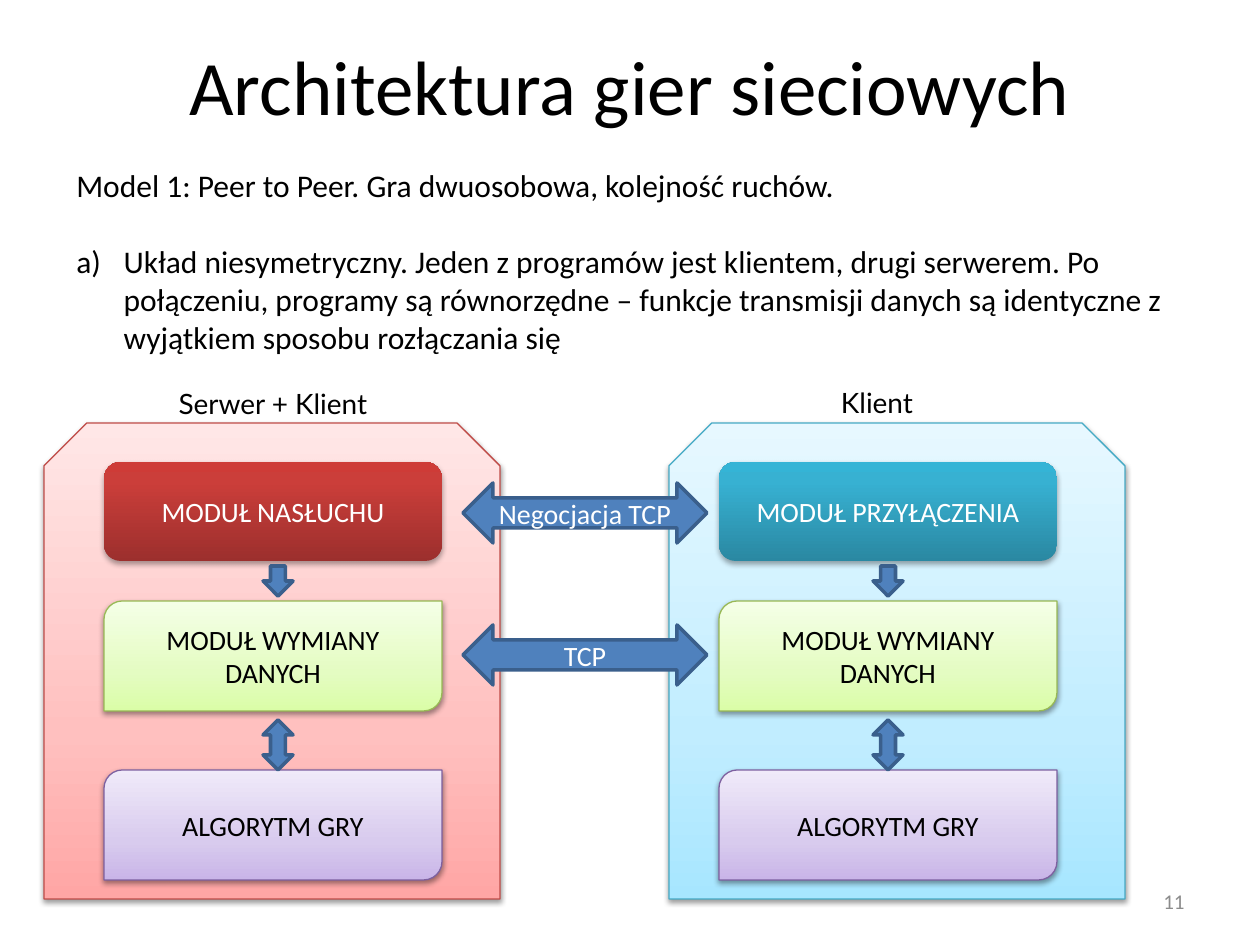
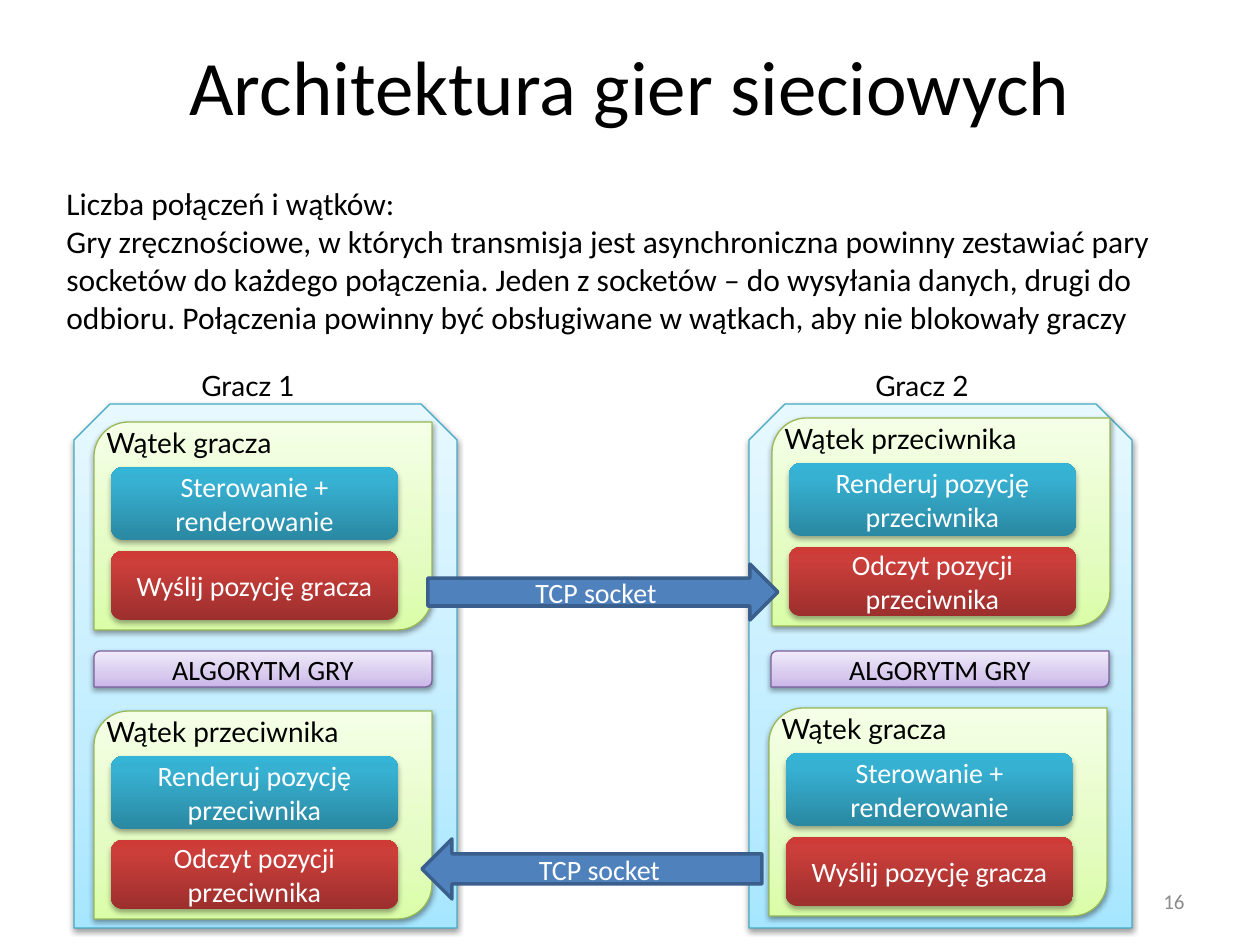
from pptx import Presentation
from pptx.dml.color import RGBColor
from pptx.enum.shapes import MSO_SHAPE
from pptx.enum.text import MSO_ANCHOR, PP_ALIGN
from pptx.oxml import parse_xml
from pptx.oxml.ns import qn
from pptx.util import Pt
from lxml import etree

PX = 914400 / 126
NAMESPACE = "http://schemas.openxmlformats.org/drawingml/2006/main"

SNIPPED = MSO_SHAPE.SNIP_2_SAME_RECTANGLE
ROUNDED = MSO_SHAPE.ROUNDED_RECTANGLE
LEAF = MSO_SHAPE.ROUND_2_DIAG_RECTANGLE
DOWN = MSO_SHAPE.DOWN_ARROW
UP_DOWN = MSO_SHAPE.UP_DOWN_ARROW
LEFT = MSO_SHAPE.LEFT_ARROW
RIGHT = MSO_SHAPE.RIGHT_ARROW
LEFT_RIGHT = MSO_SHAPE.LEFT_RIGHT_ARROW
MIDDLE = MSO_ANCHOR.MIDDLE
TOP = MSO_ANCHOR.TOP
ALIGN_LEFT = PP_ALIGN.LEFT
ALIGN_CENTER = PP_ALIGN.CENTER
ALIGN_RIGHT = PP_ALIGN.RIGHT

BLACK = RGBColor(0x00, 0x00, 0x00)
WHITE = RGBColor(0xFF, 0xFF, 0xFF)
GREY = RGBColor(0x8C, 0x8C, 0x8C)
ARROW_FILL = RGBColor(0x4F, 0x81, 0xBD)
ARROW_LINE = RGBColor(0x3A, 0x5F, 0x8C)
RED_LINE = RGBColor(0xBF, 0x4C, 0x48)
CYAN_LINE = RGBColor(0x46, 0xAA, 0xC5)
GREEN_LINE = RGBColor(0x98, 0xB9, 0x55)
PURPLE_LINE = RGBColor(0x7D, 0x60, 0xA0)

# Gradients run from the bottom up; the number is the middle stop in percent
PALE_RED = ("FFA6A5", "FFC0BF", "FFE7E7", 35)
PALE_CYAN = ("A7E6FF", "C1EDFF", "E7F8FF", 35)
GREEN = ("DAFDA7", "E4FCC2", "F5FFE7", 35)
PURPLE = ("C9B5E8", "D8CBEE", "F0EAF9", 35)
RED = ("9C2F2D", "CB3E3A", "CE3B37", 80)
CYAN = ("2A88A2", "37B1D2", "34B4D6", 80)

# Each style: outline shape, gradient (None for an arrow), line colour
RED_PANEL = (SNIPPED, PALE_RED, RED_LINE)
CYAN_PANEL = (SNIPPED, PALE_CYAN, CYAN_LINE)
GREEN_LEAF = (LEAF, GREEN, GREEN_LINE)
PURPLE_LEAF = (LEAF, PURPLE, PURPLE_LINE)
RED_BUTTON = (ROUNDED, RED, None)
CYAN_BUTTON = (ROUNDED, CYAN, None)

TITLE = "Architektura gier sieciowych"


def write(shape, text, size=16, font="Calibri", color=BLACK, align=ALIGN_LEFT, anchor=TOP):
    frame = shape.text_frame
    frame.word_wrap = True
    frame.vertical_anchor = anchor
    frame.text = text
    for para in frame.paragraphs:
        para.alignment = align
        for span in para.runs:
            span.font.size = Pt(size)
            span.font.name = font
            span.font.color.rgb = color
    return frame


def add_box(page, style, left, top, width, height, text=""):
    kind, gradient, line_color = style
    box = page.shapes.add_shape(kind, *[round(n * PX) for n in (left, top, width, height)])
    if kind == SNIPPED:
        box.adjustments[0] = 0.094
    if gradient:
        start, middle, end, position = gradient
        stops = "".join(
            f'<a:gs pos="{percent * 1000}"><a:srgbClr val="{color}"/></a:gs>'
            for percent, color in ((0, start), (position, middle), (100, end)))
        box._element.spPr.find(qn("a:prstGeom")).addnext(parse_xml(
            f'<a:gradFill xmlns:a="{NAMESPACE}" rotWithShape="1"><a:gsLst>{stops}</a:gsLst>'
            '<a:lin ang="16200000" scaled="0"/></a:gradFill>'))
    else:
        box.fill.solid()
        box.fill.fore_color.rgb = ARROW_FILL
    if line_color:
        box.line.color.rgb = line_color
        box.line.width = Pt(0.75 if gradient else 2)
    else:
        box.line.fill.background()
    box.shadow.inherit = False
    if gradient:
        alpha, distance = (38000, 20000) if line_color else (35000, 23000)
        box._element.spPr.find(qn("a:effectLst")).append(parse_xml(
            f'<a:outerShdw xmlns:a="{NAMESPACE}" blurRad="40000" dist="{distance}" '
            f'dir="5400000" rotWithShape="0"><a:srgbClr val="000000">'
            f'<a:alpha val="{alpha}"/></a:srgbClr></a:outerShdw>'))
    if text:
        dark_text = gradient and line_color
        write(box, text, color=BLACK if dark_text else WHITE, align=ALIGN_CENTER, anchor=MIDDLE)
    return box


deck = Presentation()
deck.slide_width = round(1260 * PX)
deck.slide_height = round(945 * PX)

# Title, slide number and body text of both slides
slides = [
    ("11", (64, 160, 1133, 204),
     "Model 1: Peer to Peer. Gra dwuosobowa, kolejność ruchów.\n"
     "Układ niesymetryczny. Jeden z programów jest klientem, drugi serwerem. Po połączeniu, "
     "programy są równorzędne – funkcje transmisji danych są identyczne z wyjątkiem sposobu "
     "rozłączania się"),
    ("16", (54, 178, 1143, 165),
     "Liczba połączeń i wątków:\n"
     "Gry zręcznościowe, w których transmisja jest asynchroniczna powinny zestawiać pary "
     "socketów do każdego połączenia. Jeden z socketów – do wysyłania danych, drugi do odbioru. "
     "Połączenia powinny być obsługiwane w wątkach, aby nie blokowały graczy"),
]
pages = []
bodies = []
for number, body_area, body_text in slides:
    page = deck.slides.add_slide(deck.slide_layouts[5])
    title = page.shapes.title
    title.left, title.top, title.width, title.height = [round(n * PX) for n in (63, 6, 1134, 158)]
    write(title, TITLE, 44, align=ALIGN_CENTER, anchor=MIDDLE)
    number_box = page.shapes.add_textbox(*[round(n * PX) for n in (903, 876, 294, 50)])
    write(number_box, number, 12, color=GREY, align=ALIGN_RIGHT, anchor=MIDDLE)
    body = page.shapes.add_textbox(*[round(n * PX) for n in body_area])
    bodies.append(write(body, body_text, 18))
    pages.append(page)
model_page, threads_page = pages

# Lettered item on the first slide
intro, item = bodies[0].paragraphs
intro.space_after = Pt(22)
item_properties = item._p.get_or_add_pPr()
item_properties.set("marL", "342900")
item_properties.set("indent", "-342900")
etree.SubElement(item_properties, qn("a:buAutoNum"), type="alphaLcParenR")

# Server and client stacks
stacks = [
    (44, RED_PANEL, "Serwer + Klient", 154, 380, 104, RED_BUTTON, "MODUŁ NASŁUCHU", 263),
    (669, CYAN_PANEL, "Klient", 758, 379, 719, CYAN_BUTTON, "MODUŁ PRZYŁĄCZENIA", 873),
]
for panel_left, panel, name, name_left, name_top, left, button, module, arrow_left in stacks:
    add_box(model_page, panel, panel_left, 423, 456, 476)
    label = model_page.shapes.add_textbox(*[round(n * PX) for n in (name_left, name_top, 238, 43)])
    write(label, name, font="Lato", align=ALIGN_CENTER)
    add_box(model_page, button, left, 462, 338, 99, module)
    add_box(model_page, GREEN_LEAF, left, 601, 338, 110, "MODUŁ WYMIANY DANYCH")
    add_box(model_page, PURPLE_LEAF, left, 770, 338, 110, "ALGORYTM GRY")
    add_box(model_page, (DOWN, None, ARROW_LINE), arrow_left, 566, 30, 30)
    add_box(model_page, (UP_DOWN, None, ARROW_LINE), arrow_left, 720, 30, 50)

# Links between server and client
for top, text in ((625, "TCP"), (483, "Negocjacja TCP")):
    add_box(model_page, (LEFT_RIGHT, None, ARROW_LINE), 463, top, 244, 60, text)

# Players, each with two threads around the game algorithm
OWN = ("Wątek gracza", "Sterowanie + renderowanie", "Wyślij pozycję gracza")
OPPONENT = ("Wątek przeciwnika", "Renderuj pozycję przeciwnika", "Odczyt pozycji przeciwnika")
players = [
    (74, "Gracz 1", 129, 94, ((94, 422, OWN), (94, 711, OPPONENT))),
    (749, "Gracz 2", 803, 771, ((772, 418, OPPONENT), (769, 708, OWN))),
]
for panel_left, name, name_left, bar_left, threads in players:
    add_box(threads_page, CYAN_PANEL, panel_left, 404, 383, 524)
    label = threads_page.shapes.add_textbox(*[round(n * PX) for n in (name_left, 362, 238, 43)])
    write(label, name, font="Lato", align=ALIGN_CENTER)
    add_box(threads_page, PURPLE_LEAF, bar_left, 651, 338, 36, "ALGORYTM GRY")
    for left, top, (thread, display, transfer) in threads:
        add_box(threads_page, GREEN_LEAF, left, top, 338, 208)
        add_box(threads_page, CYAN_BUTTON, left + 17, top + 45, 287, 73, display)
        add_box(threads_page, RED_BUTTON, left + 17, top + 129, 287, 69, transfer)
        label = threads_page.shapes.add_textbox(*[round(n * PX) for n in (left, top - 3, 287, 43)])
        write(label, thread, font="Lato")

# Sockets between the players
add_box(threads_page, (LEFT, None, ARROW_LINE), 422, 839, 340, 60, "TCP socket")
add_box(threads_page, (RIGHT, None, ARROW_LINE), 428, 564, 350, 56, "TCP socket")

deck.save("out.pptx")
